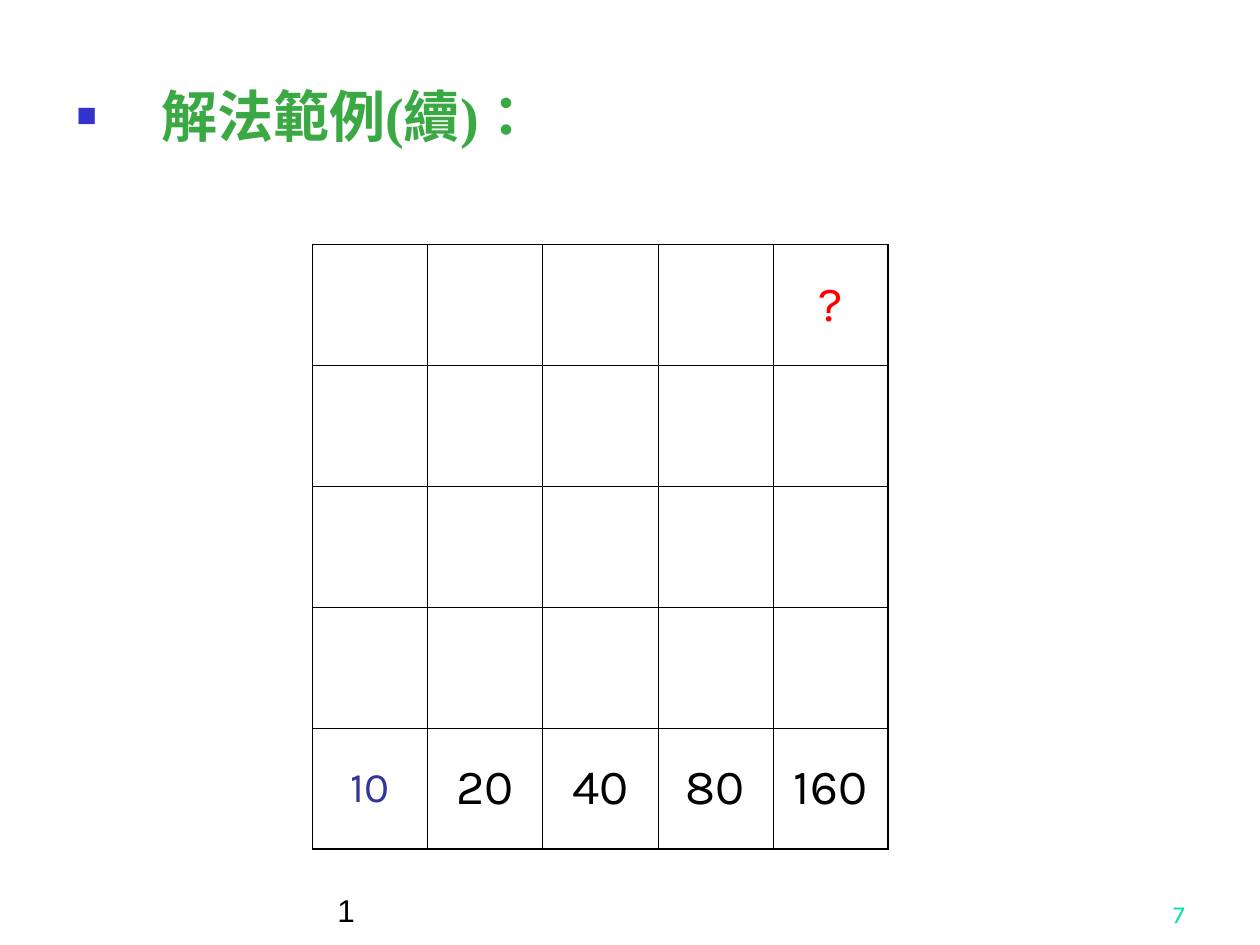
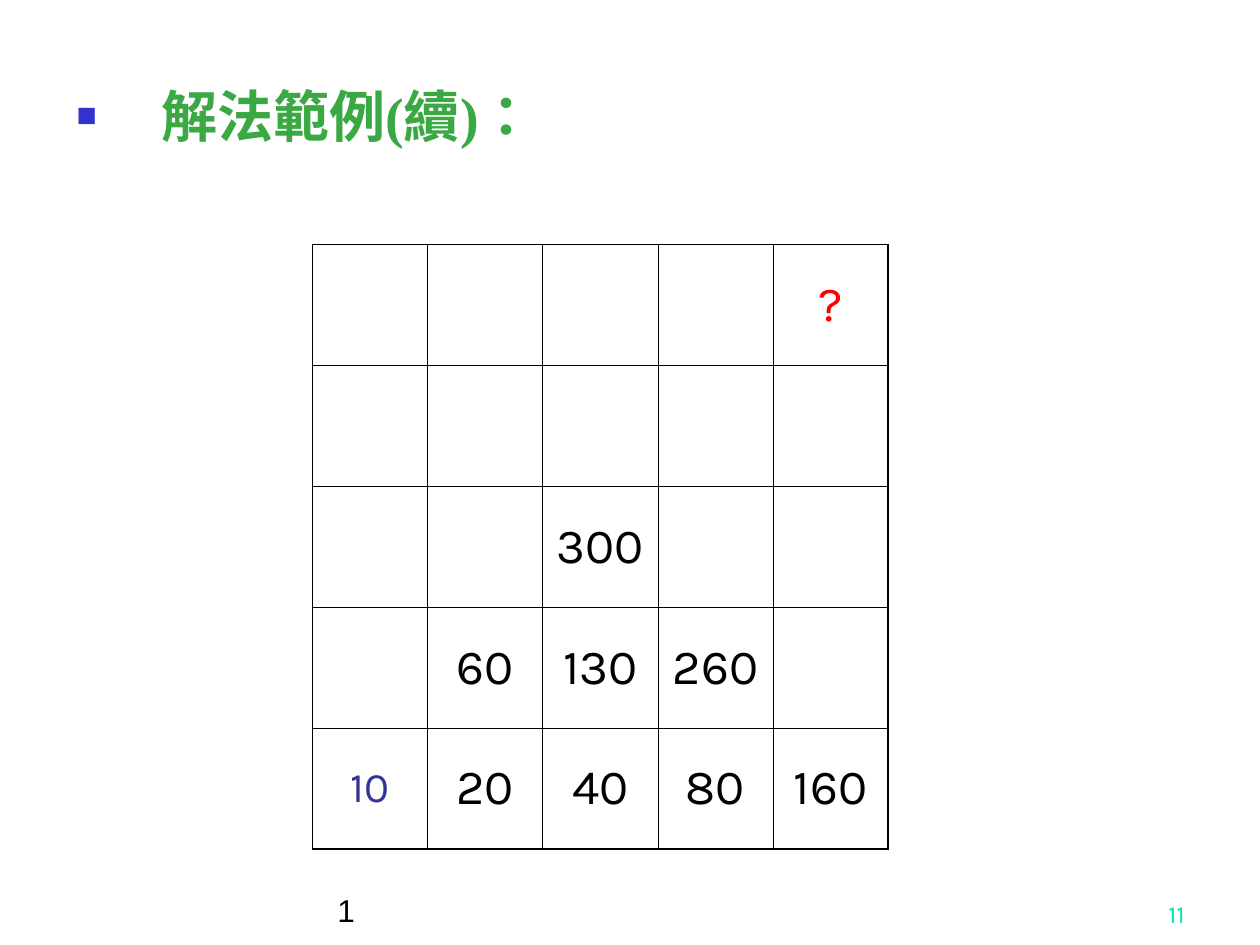
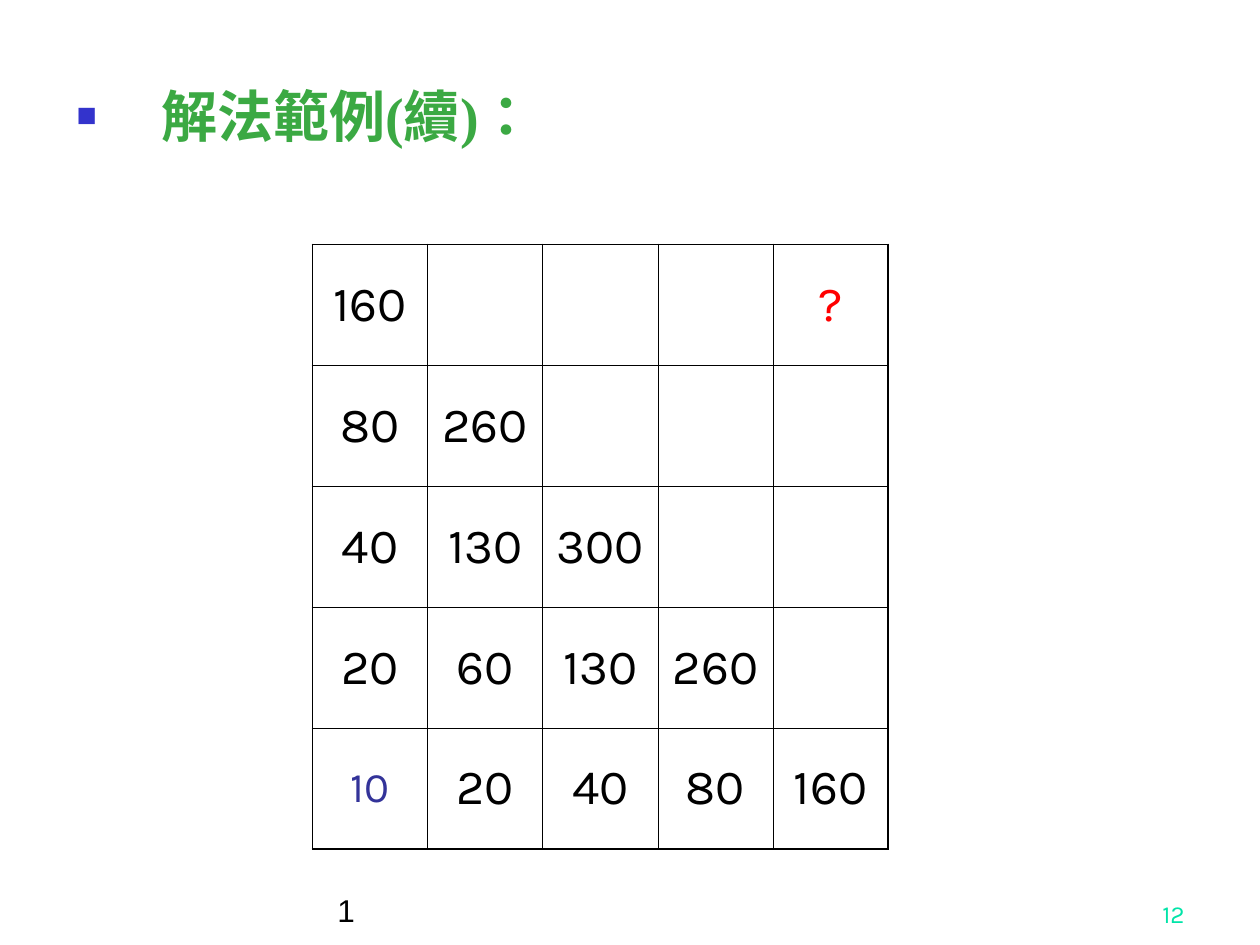
from lxml.etree import SubElement
from pptx import Presentation
from pptx.dml.color import RGBColor
from pptx.enum.text import MSO_ANCHOR, PP_ALIGN
from pptx.oxml.ns import qn
from pptx.util import Inches, Pt

# Content: page number and the rows of each grid
TITLE = "解法範例(續)："
FOOTER = "1"
BOTTOM_ROW = ["10", "20", "40", "80", "160"]
SLIDES = [
    ("7", [
        ["", "", "", "", "?"],
        ["", "", "", "", ""],
        ["", "", "", "", ""],
        ["", "", "", "", ""],
        BOTTOM_ROW,
    ]),
    ("11", [
        ["", "", "", "", "?"],
        ["", "", "", "", ""],
        ["", "", "300", "", ""],
        ["", "60", "130", "260", ""],
        BOTTOM_ROW,
    ]),
    ("12", [
        ["160", "", "", "", "?"],
        ["80", "260", "", "", ""],
        ["40", "130", "300", "", ""],
        ["20", "60", "130", "260", ""],
        BOTTOM_ROW,
    ]),
]

# Shared look
COLORS = {
    "title": "3BA943", "bullet": "3333CC", "text": "000000", "grid": "000000",
    "start": "333399", "goal": "FF0000", "page": "00E4A8",
}
GRID_FONT = "Karla"
GRID_BOX = (2.48, 1.94, 4.57, 4.8)
INNER_LINE, OUTER_LINE = 0.45, 1.08
# Special cells: size and colour
MARKS = {"10": (24, "start"), "?": (28, "goal")}


def add_run(p, text, size, font, color, bold=False):
    r = p.add_run()
    r.text = text
    r.font.size = Pt(size)
    r.font.name = font
    r.font.bold = bold
    r.font.color.rgb = RGBColor.from_string(COLORS[color])
    return r


def add_box(slide, box, anchor, align=PP_ALIGN.LEFT):
    tf = slide.shapes.add_textbox(*map(Inches, box)).text_frame
    tf.word_wrap = True
    tf.vertical_anchor = anchor
    p = tf.paragraphs[0]
    p.alignment = align
    return p


def add_title(slide):
    p = add_box(slide, (0.51, 0.6, 8.98, 0.8), MSO_ANCHOR.TOP)
    pPr = p._p.get_or_add_pPr()
    pPr.set("marL", str(Inches(0.67)))
    pPr.set("indent", str(-Inches(0.67)))
    SubElement(SubElement(pPr, qn("a:buClr")), qn("a:srgbClr"), val=COLORS["bullet"])
    SubElement(pPr, qn("a:buSzPct"), val="60000")
    SubElement(pPr, qn("a:buFont"), typeface="Arial")
    SubElement(pPr, qn("a:buChar"), char="■")
    r = add_run(p, TITLE, 32, "Times New Roman", "title", bold=True)
    r._r.get_or_add_rPr().set("lang", "zh-TW")


def set_borders(cell, outer):
    tcPr = cell._tc.get_or_add_tcPr()
    for side in "LRTB":
        width = OUTER_LINE if side in outer else INNER_LINE
        ln = SubElement(tcPr, qn(f"a:ln{side}"), w=str(Pt(width)))
        fill = SubElement(ln, qn("a:solidFill"))
        SubElement(fill, qn("a:srgbClr"), val=COLORS["grid"])


def add_grid(slide, rows):
    n_rows, n_cols = len(rows), len(rows[0])
    table = slide.shapes.add_table(n_rows, n_cols, *map(Inches, GRID_BOX)).table
    table.first_row = table.horz_banding = False
    for i, row in enumerate(rows):
        for j, value in enumerate(row):
            cell = table.cell(i, j)
            edges = {"L": j == 0, "R": j == n_cols - 1, "T": i == 0, "B": i == n_rows - 1}
            set_borders(cell, [side for side, is_outer in edges.items() if is_outer])
            cell.fill.background()
            cell.vertical_anchor = MSO_ANCHOR.MIDDLE
            if value:
                p = cell.text_frame.paragraphs[0]
                p.alignment = PP_ALIGN.CENTER
                size, color = MARKS.get(value, (28, "text"))
                add_run(p, value, size, GRID_FONT, color)


def add_footer(slide, page):
    p = add_box(slide, (2.58, 6.92, 5.42, 0.5), MSO_ANCHOR.BOTTOM)
    add_run(p, FOOTER, 18, "Arial", "text")
    p = add_box(slide, (7.42, 6.92, 2.08, 0.5), MSO_ANCHOR.BOTTOM, PP_ALIGN.RIGHT)
    add_run(p, page, 14, GRID_FONT, "page")


def main():
    prs = Presentation()
    prs.slide_width, prs.slide_height = Inches(10), Inches(7.5)
    for page, rows in SLIDES:
        s = prs.slides.add_slide(prs.slide_layouts[6])
        add_title(s)
        add_grid(s, rows)
        add_footer(s, page)
    prs.save("out.pptx")


if __name__ == "__main__":
    main()
